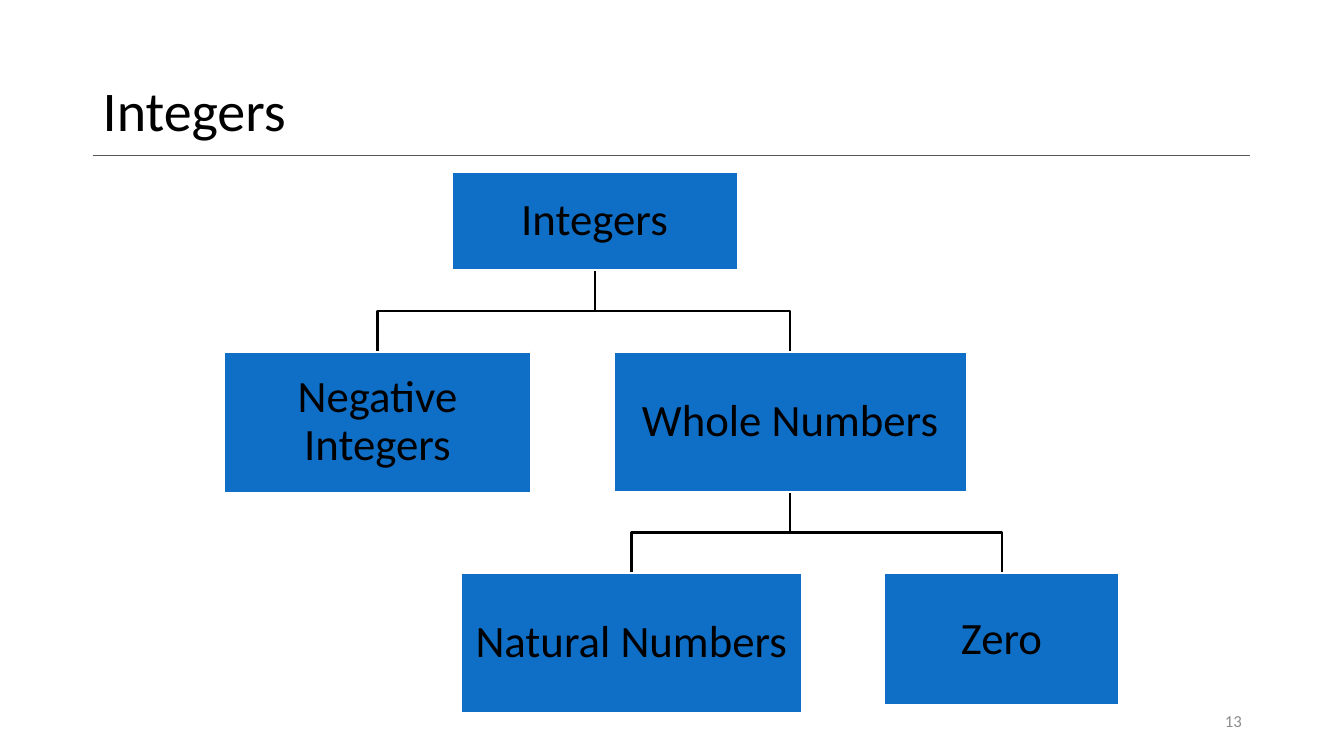
from dataclasses import dataclass

from lxml import etree
from pptx import Presentation
from pptx.dml.color import RGBColor
from pptx.enum import shapes, text
from pptx.oxml import ns
from pptx.util import Cm, Pt


@dataclass(frozen=True)
class Theme:
    """Colours, font and type sizes of the slide."""
    font: str = "Calibri"
    ink: str = "000000"
    box: str = "0F6FC6"
    edge: str = "FFFFFF"
    rule: str = "595959"
    muted: str = "8C8C8C"
    title: int = 40
    node: int = 32
    number: int = 12


THEME = Theme()

NODES = {
    "Integers": (5.74, 0, 7.21, 2.46),
    "Negative Integers": (0, 4.52, 7.75, 3.56),
    "Whole Numbers": (9.83, 4.52, 8.89, 3.53),
    "Natural Numbers": (5.97, 10.11, 8.61, 3.51),
    "Zero": (16.64, 10.11, 5.92, 3.33),
}
CHILDREN = {
    "Integers": ("Negative Integers", "Whole Numbers"),
    "Whole Numbers": ("Natural Numbers", "Zero"),
}


def write(sp, words, size, color, align, spacing=1.0, inset=None):
    """Put one formatted paragraph in a shape."""
    tf = sp.text_frame
    frame = {"word_wrap": True, "vertical_anchor": text.MSO_ANCHOR.MIDDLE}
    if inset is not None:
        sides = ("left", "right", "top", "bottom")
        frame.update({f"margin_{side}": Cm(inset) for side in sides})
    for name, value in frame.items():
        setattr(tf, name, value)
    p = tf.paragraphs[0]
    p.alignment, p.line_spacing = align, spacing
    r = p.add_run()
    r.text = words
    for name, value in {"name": THEME.font, "size": Pt(size)}.items():
        setattr(r.font, name, value)
    r.font.color.rgb = RGBColor.from_string(color)


def set_line(sp, color, width):
    """Give a shape or connector a solid line."""
    sp.line.color.rgb = RGBColor.from_string(color)
    sp.line.width = Pt(width)


def add_title(s, left, top, width, height):
    """Draw the title and the rule beneath it."""
    y = Cm(top + 2.89)
    rule = s.shapes.add_connector(
        shapes.MSO_CONNECTOR.STRAIGHT, Cm(left), y, Cm(left + width - 0.05), y)
    set_line(rule, THEME.rule, 0.5)
    etree.SubElement(rule._element.spPr, ns.qn("a:effectLst"))
    sp = s.shapes.add_textbox(Cm(left), Cm(top), Cm(width), Cm(height))
    write(sp, "Integers", THEME.title, THEME.ink, text.PP_ALIGN.LEFT, 0.9)


def add_branch(s, parent, child):
    """Draw the bent line from a parent box down to a child box."""
    x, y = parent[0] + parent[2] / 2, parent[1] + parent[3]
    end_x, end_y = child[0] + child[2] / 2, child[1]
    mid = (y + end_y) / 2
    path = s.shapes.build_freeform(Cm(x), Cm(y))
    path.add_line_segments(
        [(Cm(a), Cm(b)) for a, b in ((x, mid), (end_x, mid), (end_x, end_y))],
        close=False)
    sp = path.convert_to_shape()
    sp.fill.background()
    sp.shadow.inherit = False
    set_line(sp, THEME.ink, 1.5)


def add_tree(s, left, top):
    """Draw the number tree from its top left corner."""
    boxes = {name: (left + x, top + y, w, h)
             for name, (x, y, w, h) in NODES.items()}
    for parent, children in CHILDREN.items():
        for child in children:
            add_branch(s, boxes[parent], boxes[child])
    for name, box in boxes.items():
        sp = s.shapes.add_shape(shapes.MSO_SHAPE.RECTANGLE, *map(Cm, box))
        sp.shadow.inherit = False
        sp.fill.solid()
        sp.fill.fore_color.rgb = RGBColor.from_string(THEME.box)
        set_line(sp, THEME.edge, 1.5)
        write(sp, name, THEME.node, THEME.ink, text.PP_ALIGN.CENTER, 0.9, 0.05)


def add_number(s, left, top, width, height):
    """Draw the slide number."""
    sp = s.shapes.add_textbox(Cm(left), Cm(top), Cm(width), Cm(height))
    write(sp, "13", THEME.number, THEME.muted, text.PP_ALIGN.RIGHT)


def main():
    """Build and save the slide."""
    prs = Presentation()
    prs.slide_width, prs.slide_height = Cm(33.87), Cm(19.05)
    s = prs.slides.add_slide(prs.slide_layouts[6])
    add_title(s, 2.34, 1.02, 29.21, 3.68)
    add_number(s, 23.93, 17.65, 7.62, 1.02)
    add_tree(s, 5.64, 4.34)
    prs.save("out.pptx")


if __name__ == "__main__":
    main()
